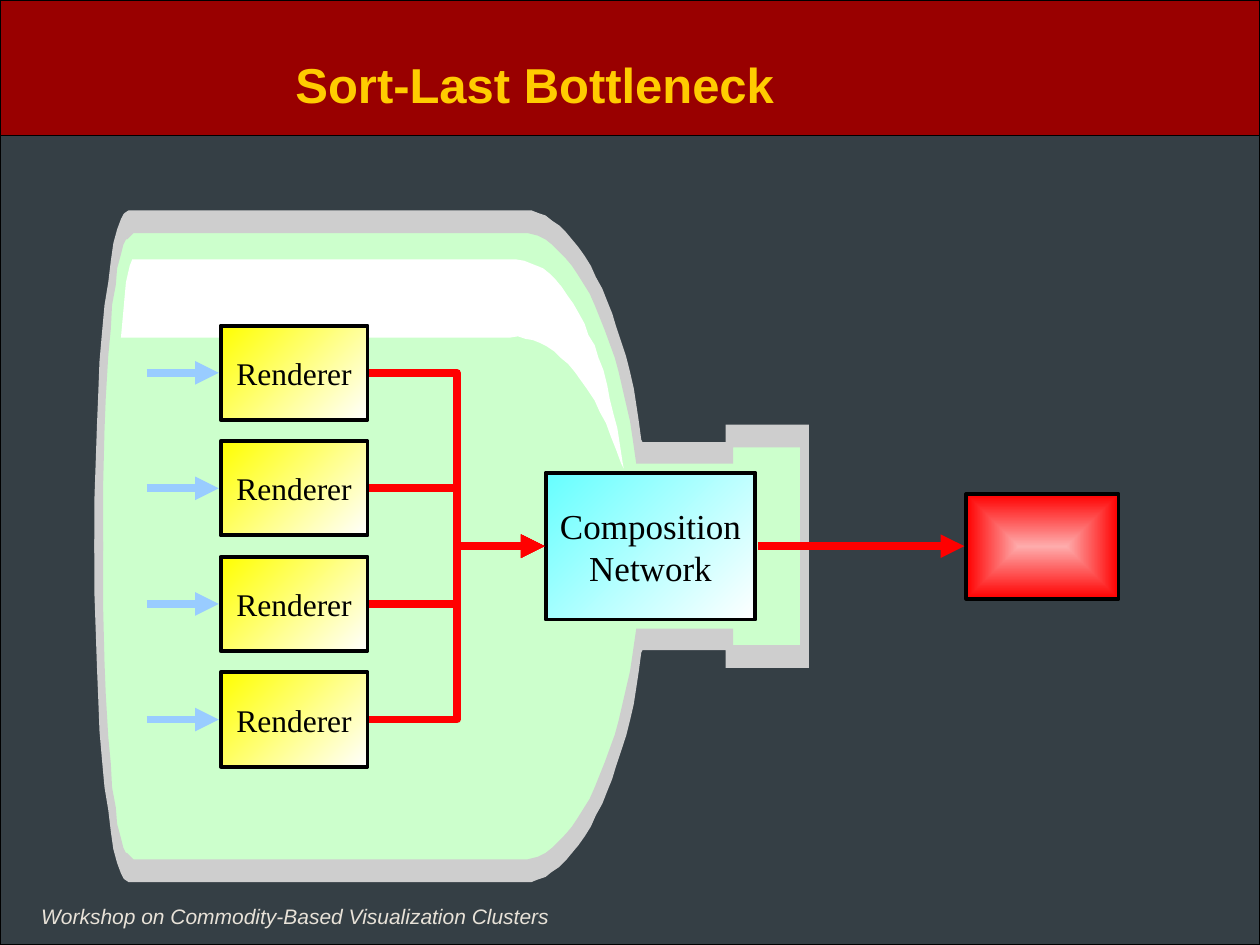
from lxml import etree
from pptx import Presentation, util as u
from pptx.dml.color import RGBColor
from pptx.enum import shapes, text
from pptx.oxml.ns import qn

SLATE = RGBColor(0x35, 0x3F, 0x45)
MAROON = RGBColor(0x99, 0x00, 0x00)
GOLD = RGBColor(0xFF, 0xCC, 0x00)
CREAM = RGBColor(0xE8, 0xE2, 0xD8)
MINT = RGBColor(0xCC, 0xFF, 0xCC)
GREY = RGBColor(0xCE, 0xCE, 0xCE)
WHITE = RGBColor(0xFF, 0xFF, 0xFF)
BLACK = RGBColor(0x00, 0x00, 0x00)
PINK = RGBColor(0xFE, 0xAC, 0xAC)
RED = RGBColor(0xFF, 0x00, 0x00)
CYAN = RGBColor(0x66, 0xFF, 0xFF)
YELLOW = RGBColor(0xFF, 0xFF, 0x00)
SKY = RGBColor(0x99, 0xCC, 0xFF)

GRID = u.Cm(0.0254)
MIRROR = 867
AXIS = 11.01
PITCH = 2.33

LIQUID_HALF = [
    (638, 346), (579, 346), (579, 359), (508, 359), (506, 345), (504, 332), (501, 318),
    (498, 306), (495, 293), (492, 281), (488, 270), (484, 258), (480, 248), (476, 239),
    (471, 229), (467, 221), (462, 213), (457, 206), (452, 199), (447, 194), (442, 189),
    (436, 184), (431, 180), (425, 177), (420, 176), (108, 176), (103, 176), (95, 189),
    (88, 219), (83, 267), (80, 328), (78, 394)]
HIGHLIGHT = [
    (105, 206), (103, 211), (100, 224), (96, 268), (405, 268), (411, 267), (417, 269),
    (423, 270), (428, 272), (434, 275), (440, 279), (445, 284), (451, 289), (456, 295),
    (461, 302), (466, 309), (472, 318), (476, 327), (481, 336), (485, 347), (489, 357),
    (493, 368), (495, 372), (494, 366), (492, 353), (490, 340), (487, 329), (484, 317),
    (482, 306), (479, 294), (475, 284), (472, 274), (467, 266), (464, 257), (459, 248),
    (455, 241), (450, 234), (446, 228), (441, 222), (436, 217), (431, 213), (426, 211),
    (421, 209), (416, 207), (410, 206)]
GLASS_HALF = [
    (102, 167), (99, 169), (98, 170), (96, 174), (93, 182), (90, 193), (88, 207), (86, 224),
    (83, 242), (81, 264), (79, 287), (78, 313), (77, 338), (76, 367), (75, 395), (75, 439),
    (82, 437), (82, 382), (83, 341), (84, 316), (86, 282), (88, 261), (89, 242), (92, 226),
    (93, 213), (96, 202), (98, 194), (100, 190), (101, 190), (106, 185), (419, 185),
    (427, 187), (433, 190), (438, 194), (443, 199), (449, 205), (454, 211), (458, 217),
    (463, 225), (468, 233), (472, 242), (476, 252), (480, 262), (484, 273), (488, 284),
    (491, 295), (494, 308), (497, 321), (500, 334), (502, 347), (504, 361), (505, 368),
    (582, 368), (582, 355), (635, 355), (635, 446), (642, 446), (642, 337), (576, 337),
    (576, 351), (510, 351), (509, 349), (507, 334), (505, 321), (503, 308), (500, 295),
    (497, 283), (493, 271), (489, 259), (486, 249), (482, 239), (478, 229), (473, 220),
    (469, 211), (464, 203), (459, 196), (454, 190), (449, 184), (444, 179), (438, 175),
    (433, 171), (427, 169), (422, 167)]


def flip(points):
    """Mirror points across the bottle's horizontal axis."""
    return [(x, MIRROR - y) for x, y in points]


def add_outline(s, points, color):
    """Draw a closed, filled outline without a border."""
    fb = s.shapes.build_freeform(*points[0], scale=GRID)
    fb.add_line_segments(points[1:], close=True)
    sp = fb.convert_to_shape()
    sp.shadow.inherit = False
    sp.fill.solid()
    sp.fill.fore_color.rgb = color
    sp.line.fill.background()


def add_rect(s, x, y, w, h, line_width, color=None):
    """Add a black-edged rectangle, filled if a colour is given."""
    sp = s.shapes.add_shape(shapes.MSO_SHAPE.RECTANGLE, u.Cm(x), u.Cm(y), u.Cm(w), u.Cm(h))
    sp.shadow.inherit = False
    sp.line.color.rgb = BLACK
    sp.line.width = u.Pt(line_width)
    if color is None:
        sp.fill.background()
    else:
        sp.fill.solid()
        sp.fill.fore_color.rgb = color
    return sp


def set_gradient(sp, start, end, centred=False):
    """Fill a shape with a diagonal or a centred two-colour gradient."""
    sp.fill.gradient()
    sp.fill.gradient_angle = 135
    for stop, color, position in zip(sp.fill.gradient_stops, (start, end), (0, 1)):
        stop.color.rgb = color
        stop.position = position
    if centred:
        grad = sp._element.spPr.find(qn("a:gradFill"))
        grad.remove(grad.find(qn("a:lin")))
        path = etree.SubElement(grad, qn("a:path"), path="rect")
        etree.SubElement(path, qn("a:fillToRect"), l="50000", t="50000", r="50000", b="50000")


def set_text(sp, content, font, size, color, align, bold=False, italic=False, wrap=True):
    """Put one formatted paragraph into a shape."""
    tf = sp.text_frame
    tf.text = content
    tf.word_wrap = wrap
    tf.vertical_anchor = text.MSO_ANCHOR.MIDDLE
    p = tf.paragraphs[0]
    p.alignment = align
    f = p.runs[0].font
    f.name, f.size, f.bold, f.italic = font, u.Pt(size), bold, italic
    f.color.rgb = color


def add_textbox(s, x, y, w, h, *args, **kwargs):
    """Add a text box holding one formatted paragraph."""
    sp = s.shapes.add_textbox(u.Cm(x), u.Cm(y), u.Cm(w), u.Cm(h))
    set_text(sp, *args, **kwargs)


def add_box(s, x, y, w, h, color, label, size):
    """Add a labelled process box with a diagonal gradient."""
    sp = add_rect(s, x, y, w, h, 2.25)
    set_gradient(sp, WHITE, color)
    set_text(sp, label, "Times New Roman", size, BLACK, text.PP_ALIGN.CENTER)


def add_arrow(s, x1, y1, x2, y2, color):
    """Add an arrow, bent when its ends differ in height."""
    kind = shapes.MSO_CONNECTOR.STRAIGHT if y1 == y2 else shapes.MSO_CONNECTOR.ELBOW
    cn = s.shapes.add_connector(kind, u.Cm(x1), u.Cm(y1), u.Cm(x2), u.Cm(y2))
    cn.line.color.rgb = color
    cn.line.width = u.Pt(4.5)
    etree.SubElement(cn.line._get_or_add_ln(), qn("a:tailEnd"), type="triangle")
    etree.SubElement(cn._element.spPr, qn("a:effectLst"))


def add_bottle(s):
    """Draw the bottle from its mirrored halves."""
    add_outline(s, LIQUID_HALF + flip(LIQUID_HALF)[::-1], MINT)
    add_outline(s, HIGHLIGHT, WHITE)
    add_outline(s, GLASS_HALF, GREY)
    add_outline(s, flip(GLASS_HALF), GREY)


def add_pipeline(s):
    """Draw the renderers, the network, the display and their arrows."""
    display = add_rect(s, 19.48, 9.96, 3.07, 2.11, 2.25)
    set_gradient(display, PINK, RED, centred=True)
    add_box(s, 11, 9.53, 4.23, 2.96, CYAN, "Composition Network", 20)
    for i in range(4):
        y = AXIS + (i - 1.5) * PITCH
        add_box(s, 4.45, y - 0.95, 2.96, 1.9, YELLOW, "Renderer", 18)
        add_arrow(s, 7.44, y, 10.98, AXIS, RED)
        add_arrow(s, 2.96, y, 4.41, y, SKY)
    add_arrow(s, 15.28, AXIS, 19.44, AXIS, RED)


def main():
    """Build and save the slide."""
    prs = Presentation()
    prs.slide_width, prs.slide_height = u.Cm(25.4), u.Cm(19.05)
    s = prs.slides.add_slide(prs.slide_layouts[6])
    s.background.fill.solid()
    s.background.fill.fore_color.rgb = SLATE
    add_rect(s, 0, 0, 25.4, 19.05, 0.75)
    add_rect(s, 0, 0, 25.4, 2.74, 0.75, MAROON)
    add_textbox(s, 0.58, 18.08, 10.77, 0.76, "Workshop on Commodity-Based Visualization Clusters",
                "Arial", 12, CREAM, text.PP_ALIGN.LEFT, italic=True, wrap=False)
    add_textbox(s, 1.47, 0.43, 18.62, 2.54, "Sort-Last Bottleneck",
                "Arial", 28, GOLD, text.PP_ALIGN.CENTER, bold=True)
    add_bottle(s)
    add_pipeline(s)
    prs.save("out.pptx")


if __name__ == "__main__":
    main()
